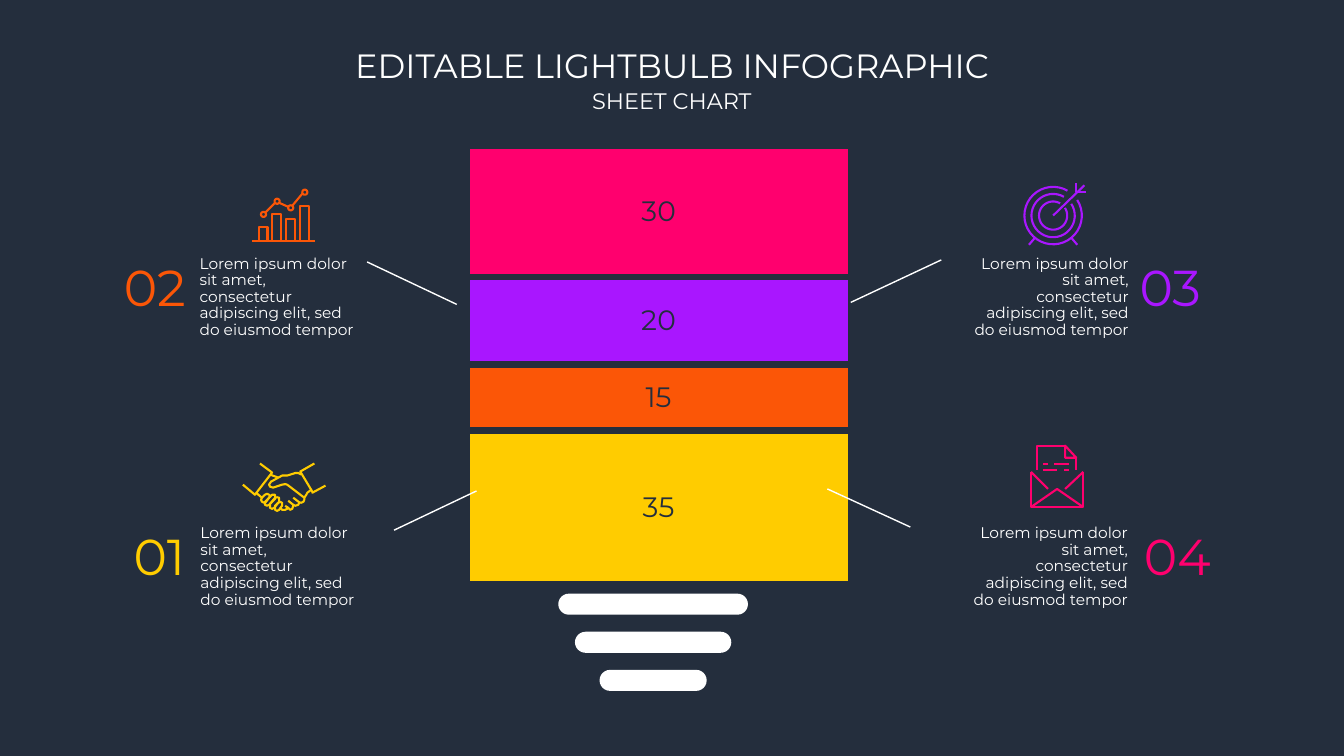
"""Build the lightbulb infographic slide with a stacked chart and four notes."""
from math import cos, radians, sin

from lxml import etree
from pptx import Presentation
from pptx.chart.data import CategoryChartData
from pptx.dml.color import RGBColor
from pptx.enum.chart import XL_CHART_TYPE, XL_LABEL_POSITION
from pptx.enum.shapes import MSO_CONNECTOR, MSO_SHAPE
from pptx.enum.text import MSO_ANCHOR, MSO_AUTO_SIZE, PP_ALIGN
from pptx.oxml import parse_xml
from pptx.oxml.ns import nsdecls, qn
from pptx.util import Cm, Pt

STACKED = XL_CHART_TYPE.COLUMN_STACKED_100
LABEL_CENTER = XL_LABEL_POSITION.CENTER
STRAIGHT = MSO_CONNECTOR.STRAIGHT
PILL = MSO_SHAPE.ROUNDED_RECTANGLE
LEFT, CENTER, RIGHT = PP_ALIGN.LEFT, PP_ALIGN.CENTER, PP_ALIGN.RIGHT

FONT = "Montserrat"
NAVY, WHITE = "242E3D", "FFFFFF"
YELLOW, ORANGE, PURPLE, PINK = "FFCC00", "FB5607", "A916FF", "FF006E"

TITLE = "EDITABLE LIGHTBULB INFOGRAPHIC"
SUBTITLE = "SHEET CHART"
BODY = "Lorem ipsum dolor sit amet, consectetur adipiscing elit, sed do eiusmod tempor"
SERIES = [("Series 1", 35, YELLOW), ("Series 2", 15, ORANGE),
          ("Series 3", 20, PURPLE), ("Series 4", 30, PINK)]
PLOT_LAYOUT = {"x": 0.02, "y": 0.02, "w": 0.96, "h": 0.96}
BASE_WIDTHS = [4.78, 3.94, 2.7]
BASE_CENTER, BASE_TOP, BASE_STEP, BASE_HEIGHT = 16.46, 14.96, 0.96, 0.53
LEADERS = [(12.01, 12.37, 9.93, 13.36), (11.51, 7.67, 9.25, 6.6),
           (20.85, 12.32, 22.94, 13.28), (21.44, 7.62, 23.72, 6.55)]
ICON_UNIT = Cm(0.0254)


def arc(x, y, radius, start=0, end=360):
    """Return points along a circular arc."""
    steps = 36
    angles = [radians(start + (end - start) * i / steps) for i in range(steps + 1)]
    return [(x + radius * cos(a), y + radius * sin(a)) for a in angles]


def bar(x, top, width=8.5, bottom=51):
    """Return the closed outline of one bar."""
    return [(x, bottom), (x, top), (x + width, top), (x + width, bottom), (x, bottom)]


HANDSHAKE = [
    [(21, 39), (19, 38), (18, 36), (19, 34), (22, 31), (24, 30), (26, 31), (27, 32),
     (26, 34), (23, 38), (21, 39)],
    [(50, 34), (56, 38.5), (58, 39), (60, 38), (61, 36), (61, 34)],
    [(45, 37), (50, 41), (52, 42), (55, 41), (56, 39), (56, 38)],
    [(42, 42), (45, 44), (47, 46), (49, 45), (50, 42), (50, 41)],
    [(37, 44), (39, 46), (42, 46), (44, 45), (44, 44)],
    [(26, 41), (32, 35), (32, 31), (29, 31), (28, 32), (22, 38), (22, 41), (24, 42), (26, 41)],
    [(31, 44), (36, 38), (36, 34), (34, 33.5), (32, 34), (27, 40), (27, 44), (29, 45), (31, 44)],
    [(38, 43), (39, 42), (39, 39), (37, 38), (35, 39), (32, 42), (32, 46), (34, 47),
     (36, 46), (38, 43)],
    [(71, 0), (57, 8), (69, 28), (69, 29), (82, 22)],
    [(58, 11), (55, 9.5), (52, 9.5), (44, 12), (39, 12), (28, 18), (26, 21), (27, 23),
     (30, 24), (39, 21), (42, 20.5), (44, 21), (61, 34)],
    [(68, 26), (64, 29), (63, 31), (61, 34)],
    [(0, 21), (12, 31), (29, 9), (17, 0)],
    [(13, 29), (19, 34)],
    [(35, 14), (27, 11)],
]
MARKERS = [(11.5, 24.5), (25, 11.5), (38.5, 18), (52.5, 2.5)]
GROWTH = [
    [(0, 51), (63, 51)],
    *[bar(x, top) for x, top in [(7, 37), (20, 24), (34, 29), (48, 16)]],
    *[arc(x, y, 2.5) for x, y in MARKERS],
    [(13, 23), (23, 13)], [(27, 13), (36, 17)], [(40, 16), (50, 4)],
]
TARGET = [
    *[arc(28, 32, radius, -33, 300) for radius in (28.5, 21.5, 14)],
    [(28, 32), (59, 2)], [(51, 0), (51, 9), (61, 9)],
    [(4, 61), (10, 54)], [(46, 54), (52, 61)],
]
ENVELOPE = [
    [(52, 26), (52, 61), (0, 61), (0, 26)], [(52, 61), (26, 43), (0, 61)],
    [(52, 26), (34, 43)], [(0, 26), (17, 43)], [(45, 24), (45, 12)],
    [(34, 0), (6, 0), (6, 24)], [(45, 12), (34, 0), (34, 12), (45, 12)],
    [(17, 18), (12, 18)], [(38, 18), (23, 18)], [(12, 24), (26, 24)], [(38, 24), (33, 24)],
]
NOTES = [
    ("01", YELLOW, HANDSHAKE, (6.12, 11.68), (4.8, 13.11), 3.12, LEFT),
    ("02", ORANGE, GROWTH, (6.35, 4.78), (4.78, 6.32), 2.87, LEFT),
    ("04", PINK, ENVELOPE, (25.98, 11.23), (24.08, 13.11), 28.58, RIGHT),
    ("03", PURPLE, TARGET, (25.83, 4.62), (24.1, 6.32), 28.47, RIGHT),
]


def color(value):
    """Turn a hex string into a colour."""
    return RGBColor.from_string(value)


def style_font(font, size, value):
    """Apply the slide typeface, a size and a colour."""
    for name, setting in {"name": FONT, "size": Pt(size), "bold": False}.items():
        setattr(font, name, setting)
    font.color.rgb = color(value)


def write(box, text, size, value, align=LEFT, spacing=1.0, wrap=True):
    """Put one formatted paragraph in a box."""
    frame = box.text_frame
    settings = {"word_wrap": wrap, "auto_size": MSO_AUTO_SIZE.NONE,
                "vertical_anchor": MSO_ANCHOR.TOP}
    for name, setting in settings.items():
        setattr(frame, name, setting)
    para = frame.paragraphs[0]
    para.alignment, para.line_spacing = align, spacing
    span = para.add_run()
    span.text = text
    style_font(span.font, size, value)


def add_text(page, place, *args, **kwargs):
    """Add a text box at a place given in centimetres."""
    write(page.shapes.add_textbox(*map(Cm, place)), *args, **kwargs)


def add_bulb_chart(page):
    """Add the stacked column that forms the bulb."""
    data = CategoryChartData()
    data.categories = ["1"]
    for name, value, _ in SERIES:
        data.add_series(name, [value])
    chart = page.shapes.add_chart(STACKED, Cm(8.56), Cm(3.43), Cm(16.08), Cm(11.53), data).chart
    chart.has_legend = chart.has_title = False
    style_font(chart.font, 10, WHITE)
    for axis in (chart.category_axis, chart.value_axis):
        axis.visible = axis.has_major_gridlines = False
    plot = chart.plots[0]
    plot.gap_width, plot.overlap, plot.vary_by_categories = 59, 100, False
    for series, (_, _, fill) in zip(plot.series, SERIES):
        series.format.fill.solid()
        series.format.fill.fore_color.rgb = color(fill)
        series.format.line.color.rgb = color(NAVY)
        series.format.line.width = Pt(5)
        labels = series.data_labels
        labels.show_value, labels.position = True, LABEL_CENTER
        style_font(labels.font, 20, NAVY)
    area = chart.element.find(".//" + qn("c:plotArea"))
    for old in area.findall(qn("c:layout")):
        area.remove(old)
    sizes = "".join(f'<c:{key} val="{value}"/>' for key, value in PLOT_LAYOUT.items())
    area.insert(0, parse_xml(
        f'<c:layout {nsdecls("c")}><c:manualLayout><c:layoutTarget val="inner"/>'
        f'<c:xMode val="edge"/><c:yMode val="edge"/>{sizes}</c:manualLayout></c:layout>'))


def add_icon(page, strokes, origin, value):
    """Draw an outline icon from its strokes."""
    strokes = [[(x * ICON_UNIT, y * ICON_UNIT) for x, y in stroke] for stroke in strokes]
    builder = page.shapes.build_freeform(*strokes[0][0])
    for stroke in strokes:
        builder.move_to(*stroke[0])
        builder.add_line_segments(stroke[1:], close=False)
    icon = builder.convert_to_shape(*map(Cm, origin))
    icon.shadow.inherit = False
    icon.fill.background()
    icon.line.color.rgb = color(value)
    icon.line.width = Pt(1.5)


def main():
    """Build and save the deck."""
    deck = Presentation()
    deck.slide_width, deck.slide_height = Cm(33.87), Cm(19.05)
    page = deck.slides.add_slide(deck.slide_layouts[5])
    page.background.fill.solid()
    page.background.fill.fore_color.rgb = color(NAVY)
    title = page.shapes.title
    title.left, title.top, title.width, title.height = map(Cm, (8.47, 1, 16.93, 1.28))
    write(title, TITLE, 24, WHITE, CENTER, wrap=False)
    add_text(page, (14.61, 2.06, 4.65, 0.94), SUBTITLE, 16, WHITE, CENTER, wrap=False)
    add_bulb_chart(page)
    for row, width in enumerate(BASE_WIDTHS):
        place = (BASE_CENTER - width / 2, BASE_TOP + row * BASE_STEP, width, BASE_HEIGHT)
        pill = page.shapes.add_shape(PILL, *map(Cm, place))
        pill.adjustments[0] = 0.5
        pill.shadow.inherit = False
        pill.fill.solid()
        pill.fill.fore_color.rgb = color(WHITE)
        pill.line.fill.background()
    for number, value, strokes, origin, (left, top), number_left, align in NOTES:
        add_icon(page, strokes, origin, value)
        add_text(page, (left, top, 4.6, 2.24), BODY, 11, WHITE, align, spacing=0.9)
        add_text(page, (number_left, top, 2.3, 1.8), number, 36, value)
    for ends in LEADERS:
        leader = page.shapes.add_connector(STRAIGHT, *map(Cm, ends))
        leader.line.color.rgb = color(WHITE)
        leader.line.width = Pt(1)
        etree.SubElement(leader.element.spPr, qn("a:effectLst"))
    deck.save("out.pptx")


if __name__ == "__main__":
    main()
